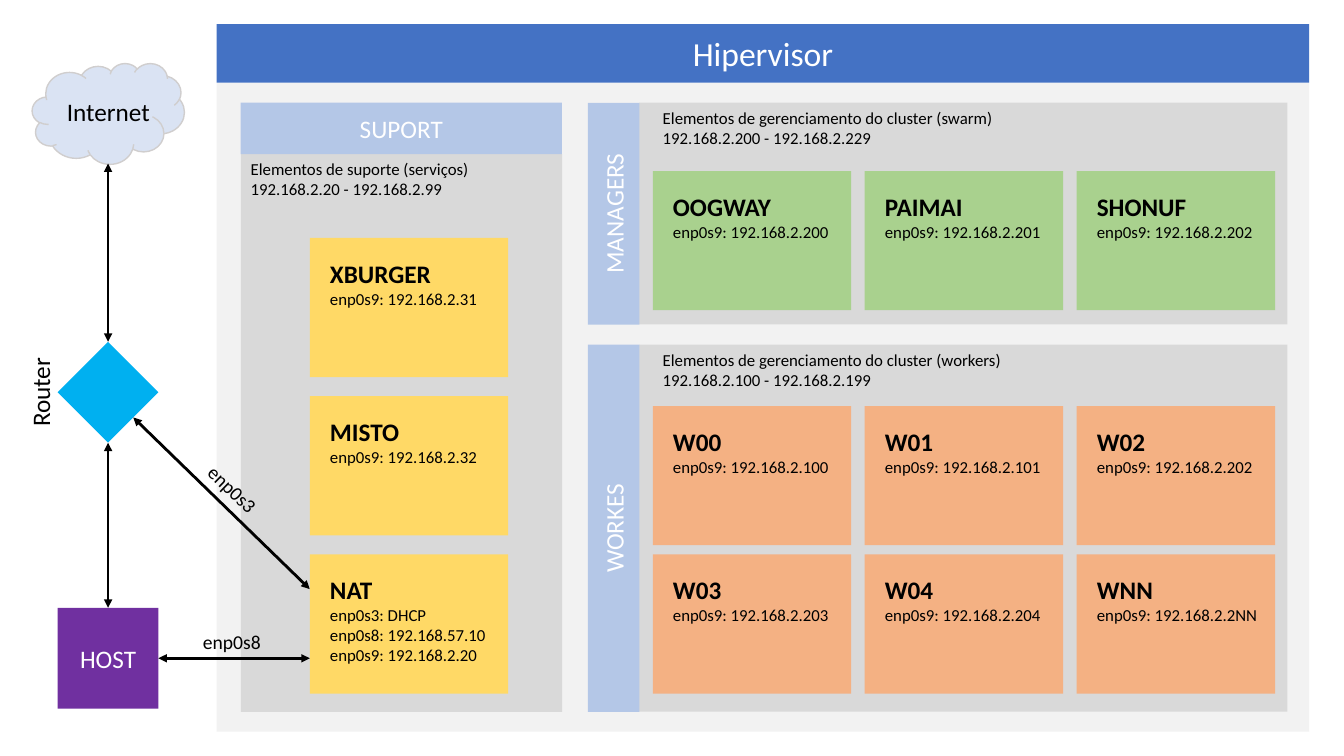
import pptx
import pptx.util
import pptx.dml.color
import pptx.enum.shapes
import pptx.enum.text
import pptx.oxml.ns
from lxml import etree

Pt = pptx.util.Pt
Kind = pptx.enum.shapes.MSO_SHAPE
Align = pptx.enum.text.PP_ALIGN
Anchor = pptx.enum.text.MSO_ANCHOR
RGB = pptx.dml.color.RGBColor.from_string
qn = pptx.oxml.ns.qn

theme = {
    "font": "Calibri",
    "title": 24, "head": 18, "link": 14, "body": 12,
    "white": "FFFFFF", "black": "000000",
    "base": "F2F2F2", "panel": "D9D9D9", "blue": "4472C4", "pale": "B4C7E7",
    "cloud": "DAE3F3", "edge": "D0CECE", "router": "00B0F0", "host": "7030A0",
    "green": "A9D18E", "orange": "F4B183", "yellow": "FFD966",
}

deck = pptx.Presentation()
deck.slide_width, deck.slide_height = Pt(960), Pt(540)
slide = deck.slides.add_slide(deck.slide_layouts[6])
shapes = slide.shapes


def write(shape, lines, sizes, color, align=Align.CENTER):
    frame = shape.text_frame
    frame.text = "\n".join(lines)
    for row, para in enumerate(frame.paragraphs):
        para.alignment = align
        font = para.runs[0].font
        font.name = theme["font"]
        font.size = Pt(sizes[min(row, len(sizes) - 1)])
        font.bold = len(sizes) > 1 and row == 0
        font.color.rgb = RGB(theme[color])
    return frame


def block(kind, left, top, width, height, fill):
    shape = shapes.add_shape(kind, Pt(left), Pt(top), Pt(width), Pt(height))
    shape.shadow.inherit = False
    shape.fill.solid()
    shape.fill.fore_color.rgb = RGB(theme[fill])
    shape.line.fill.background()
    return shape


block(Kind.RECTANGLE, 154.8, 59, 780.4, 463.7, "base")
cloud = block(Kind.CLOUD, 23, 45.2, 108.7, 72, "cloud")
cloud.line.color.rgb = RGB(theme["edge"])
cloud.line.width = Pt(1)

for left, top, width, height in [
    (172, 110, 229.5, 398.4),
    (456.6, 73.4, 463, 158.4),
    (456.6, 246.2, 463, 262.2),
]:
    block(Kind.RECTANGLE, left, top, width, height, "panel")

for text, mid, center, width, height, angle, fill, size in [
    ("Hipervisor", 545, 38.2, 780.4, 41.8, 0, "blue", "title"),
    ("SUPORT", 286.7, 91.7, 229.5, 36.7, 0, "pale", "head"),
    ("MANAGERS", 438.3, 152.6, 158.4, 36.7, 270, "pale", "head"),
    ("WORKES", 438.3, 377.3, 262.2, 36.7, 270, "pale", "head"),
    ("HOST", 77.2, 470.2, 72, 72, 0, "host", "head"),
]:
    band = block(Kind.RECTANGLE, mid - width / 2, center - height / 2, width, height, fill)
    band.rotation = angle
    write(band, [text], [theme[size]], "white").vertical_anchor = Anchor.MIDDLE

block(Kind.DIAMOND, 41.2, 244.2, 72, 72, "router")

for x1, y1, x2, y2 in [
    (77.2, 116.8, 77.2, 244.2),
    (77.2, 316.2, 77.2, 434.2),
    (113.2, 470.2, 221.3, 470.2),
    (95.2, 298.2, 221.3, 420.8),
]:
    arrow = shapes.add_connector(
        pptx.enum.shapes.MSO_CONNECTOR.STRAIGHT, Pt(x1), Pt(y1), Pt(x2), Pt(y2))
    arrow.line.color.rgb = RGB(theme["black"])
    arrow.line.width = Pt(2)
    props = arrow._element.spPr
    for end in ("a:headEnd", "a:tailEnd"):
        etree.SubElement(props.find(qn("a:ln")), qn(end), type="triangle")
    etree.SubElement(props, qn("a:effectLst"))

step_x, step_y = 151.4, 113
groups = [
    (466.3, 122.2, 3, "green", [
        ("OOGWAY", "enp0s9: 192.168.2.200"),
        ("PAIMAI", "enp0s9: 192.168.2.201"),
        ("SHONUF", "enp0s9: 192.168.2.202"),
    ]),
    (466.3, 290, 3, "orange", [
        ("W00", "enp0s9: 192.168.2.100"),
        ("W01", "enp0s9: 192.168.2.101"),
        ("W02", "enp0s9: 192.168.2.202"),
        ("W03", "enp0s9: 192.168.2.203"),
        ("W04", "enp0s9: 192.168.2.204"),
        ("WNN", "enp0s9: 192.168.2.2NN"),
    ]),
    (221.3, 170, 1, "yellow", [
        ("XBURGER", "enp0s9: 192.168.2.31"),
        ("MISTO", "enp0s9: 192.168.2.32"),
        ("NAT", "enp0s3: DHCP", "enp0s8: 192.168.57.10", "enp0s9: 192.168.2.20"),
    ]),
]
for left, top, cols, fill, nodes in groups:
    step = 106 if fill == "orange" else step_y
    for spot, lines in enumerate(nodes):
        row, col = divmod(spot, cols)
        card = block(Kind.RECTANGLE, left + col * step_x, top + row * step, 141.8, 99.4, fill)
        frame = write(card, lines, [theme["head"], theme["body"]], "black", Align.LEFT)
        frame.vertical_anchor = Anchor.TOP
        frame.margin_left = frame.margin_top = Pt(14.4)

for lines, left, top, width, height, angle, size, align in [
    (["Internet"], 40.3, 65, 74.2, 29.1, 0, "head", Align.CENTER),
    (["Router"], -3.6, 265.7, 64.8, 29.1, 270, "head", Align.CENTER),
    (["enp0s8"], 137.5, 446.6, 56.2, 24.2, 0, "link", Align.CENTER),
    (["enp0s3"], 138, 337.2, 56.2, 24.2, 44.3, "link", Align.CENTER),
    (["Elementos de suporte (serviços)", "192.168.2.20 - 192.168.2.99"],
     172, 110, 172, 36.4, 0, "body", Align.LEFT),
    (["Elementos de gerenciamento do cluster (swarm)", "192.168.2.200 - 192.168.2.229"],
     466.3, 73.4, 252.7, 36.4, 0, "body", Align.LEFT),
    (["Elementos de gerenciamento do cluster (workers)", "192.168.2.100 - 192.168.2.199"],
     466.3, 246.2, 259.2, 36.4, 0, "body", Align.LEFT),
]:
    label = shapes.add_textbox(Pt(left), Pt(top), Pt(width), Pt(height))
    label.rotation = angle
    frame = write(label, lines, [theme[size]], "black", align)
    frame.word_wrap = False
    frame.auto_size = pptx.enum.text.MSO_AUTO_SIZE.SHAPE_TO_FIT_TEXT

deck.save("out.pptx")
